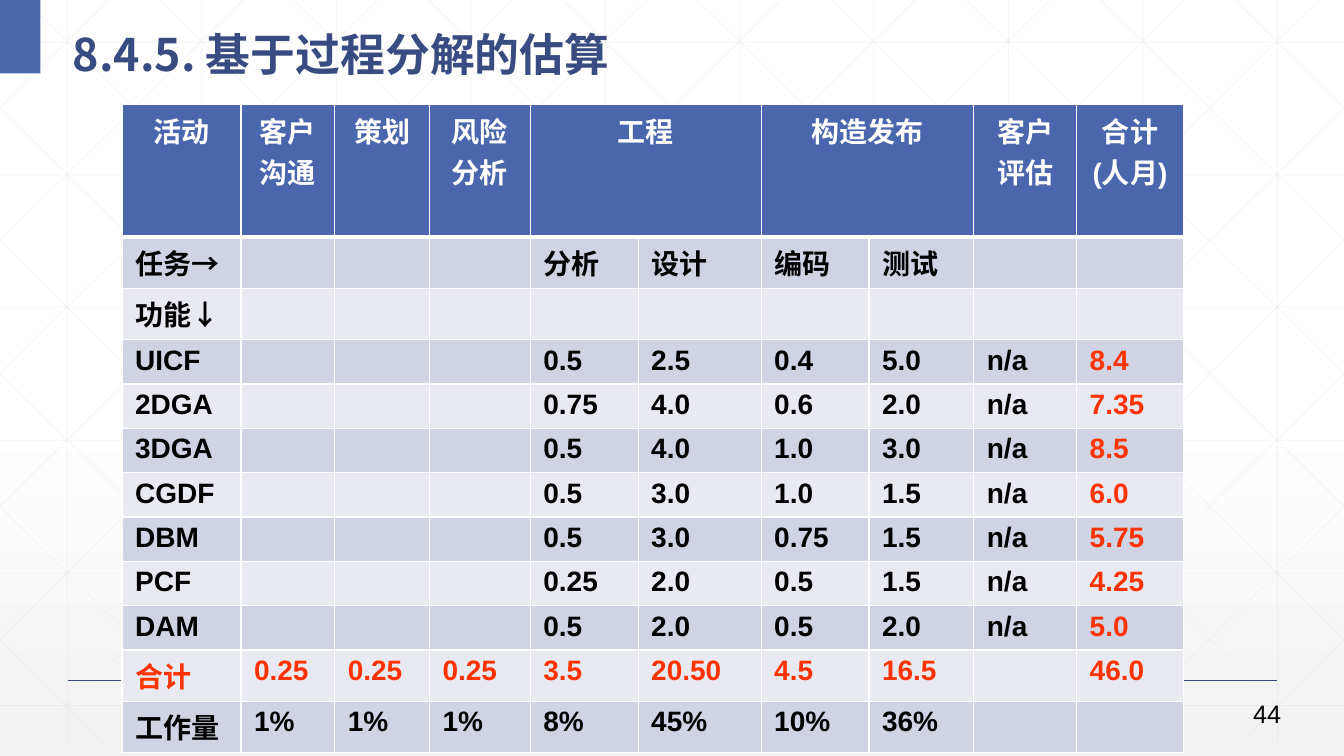
from lxml.etree import SubElement
from pptx import Presentation
from pptx.dml.color import RGBColor
from pptx.enum.shapes import MSO_CONNECTOR, MSO_SHAPE
from pptx.enum.text import MSO_ANCHOR, PP_ALIGN
from pptx.oxml.ns import qn
from pptx.util import Inches, Pt

WHITE = RGBColor(0xFF, 0xFF, 0xFF)
BLACK = RGBColor(0x00, 0x00, 0x00)
PALE_GREY = RGBColor(0xF2, 0xF2, 0xF2)
GRID_GREY = RGBColor(0xD9, 0xD9, 0xD9)
BLUE = RGBColor(0x4A, 0x66, 0xAC)
DARK_BLUE = RGBColor(0x38, 0x4C, 0x81)
BAND_DARK = RGBColor(0xD0, 0xD3, 0xE3)
BAND_LIGHT = RGBColor(0xE9, 0xEA, 0xF1)
RED = RGBColor(0xFF, 0x33, 0x00)

LATIN_FONT = "Arial"
CHINESE_FONT = "Noto Sans CJK SC"
SLIDE_WIDTH, SLIDE_HEIGHT = 13.33, 7.5

COLUMN_WIDTHS = [1.18, 0.93, 0.94, 1, 1.07, 1.22, 1.07, 1.04, 1.02, 1.06]
HEADER_HEIGHT, CHINESE_ROW_HEIGHT, LATIN_ROW_HEIGHT = 1.31, 0.51, 0.44
HEADER = ["活动", "客户沟通", "策划", "风险分析", "工程", "",
          "构造发布", "", "客户评估", "合计(人月)"]
MERGED_HEADERS = [(4, 5), (6, 7)]
TASKS = [
    ["任务→", "", "", "", "分析", "设计", "编码", "测试", "", ""],
    ["功能↓"] + [""] * 9,
]
FUNCTIONS = [
    ("UICF", "0.5", "2.5", "0.4", "5.0", "8.4"),
    ("2DGA", "0.75", "4.0", "0.6", "2.0", "7.35"),
    ("3DGA", "0.5", "4.0", "1.0", "3.0", "8.5"),
    ("CGDF", "0.5", "3.0", "1.0", "1.5", "6.0"),
    ("DBM", "0.5", "3.0", "0.75", "1.5", "5.75"),
    ("PCF", "0.25", "2.0", "0.5", "1.5", "4.25"),
    ("DAM", "0.5", "2.0", "0.5", "2.0", "5.0"),
]
TOTALS = ["合计", "0.25", "0.25", "0.25", "3.5", "20.50", "4.5", "16.5", "", "46.0"]
EFFORT = ["工作量", "1%", "1%", "1%", "8%", "45%", "10%", "36%", "", ""]


def style_run(run, size, color, font=LATIN_FONT, bold=False):
    run.font.size = Pt(size)
    run.font.bold = bold
    run.font.name = font
    run.font.color.rgb = color
    east_asian = SubElement(run.font._element, qn("a:ea"))
    east_asian.set("typeface", CHINESE_FONT)


def add_line(shapes, start, end, color, width, opacity=None):
    line = shapes.add_connector(MSO_CONNECTOR.STRAIGHT,
                                *(Inches(v) for v in (*start, *end)))
    line.line.color.rgb = color
    line.line.width = Pt(width)
    properties = line._element.spPr
    if opacity is not None:
        rgb = next(properties.iter(qn("a:srgbClr")))
        SubElement(rgb, qn("a:alpha")).set("val", str(opacity * 1000))
    SubElement(properties, qn("a:effectLst"))


def add_background(slide):
    fill = slide.background.fill
    fill.gradient()
    fill.gradient_angle = 270
    for stop, position, color in zip(fill.gradient_stops, (0.53, 1), (WHITE, PALE_GREY)):
        stop.position = position
        stop.color.rgb = color


def add_grid(slide, width, height):
    pitch_x, pitch_y, slope = 4 / 3, 1.316, 0.989
    segments = []
    for column in range(10):
        x = 0.67 + column * pitch_x
        segments.append(((x, 0), (x, height)))
    for row in range(6):
        y = 0.42 + row * pitch_y
        segments.append(((0, y), (width, y)))
    # Diagonals clipped to the grid, each with its mirror
    for step in range(-5, 10):
        top_x = 0.25 + step * pitch_x
        x1, x2 = max(top_x, 0), min(top_x + height / slope, width)
        y1, y2 = ((x - top_x) * slope for x in (x1, x2))
        segments.append(((x1, y1), (x2, y2)))
        segments.append(((width - x1, y1), (width - x2, y2)))
    grid = slide.shapes.add_group_shape()
    for start, end in segments:
        add_line(grid.shapes, start, end, GRID_GREY, 0.5, 25)


def add_frame(slide):
    # Footer rule and corner block
    add_line(slide.shapes, (0.67, 6.75), (12.67, 6.75), DARK_BLUE, 1)
    corner = slide.shapes.add_shape(MSO_SHAPE.RECTANGLE, 0, 0, Inches(0.4), Inches(0.73))
    corner.shadow.inherit = False
    corner.fill.solid()
    corner.fill.fore_color.rgb = BLUE
    corner.line.fill.background()


def add_title(slide, left, top, width, height):
    title = slide.shapes.title
    title.left, title.top = Inches(left), Inches(top)
    title.width, title.height = Inches(width), Inches(height)
    frame = title.text_frame
    frame.text = "8.4.5. 基于过程分解的估算"
    frame.word_wrap = True
    frame.vertical_anchor = MSO_ANCHOR.MIDDLE
    paragraph = frame.paragraphs[0]
    paragraph.alignment = PP_ALIGN.LEFT
    paragraph.line_spacing = 1.3
    style_run(paragraph.runs[0], 32, DARK_BLUE, CHINESE_FONT, True)
    # Bring the title in front of the grid
    slide.shapes._spTree.append(title._element)


def add_page_number(slide, left, top, width, height):
    number = slide.shapes.add_textbox(*(Inches(v) for v in (left, top, width, height)))
    number.text_frame.word_wrap = True
    number.text_frame.text = "44"
    style_run(number.text_frame.paragraphs[0].runs[0], 18, BLACK)


def set_borders(cell, widths):
    properties = cell._tc.get_or_add_tcPr()
    for index, (side, width) in enumerate(widths.items()):
        border = properties.makeelement(qn(f"a:{side}"), {"w": str(Pt(width))})
        fill = SubElement(border, qn("a:solidFill"))
        SubElement(fill, qn("a:srgbClr")).set("val", str(WHITE))
        properties.insert(index, border)


def format_cell(cell, text, fill, color, alignment, top=1, bottom=1):
    cell.margin_left = cell.margin_right = Inches(0.13)
    cell.margin_top = cell.margin_bottom = Inches(0.05)
    cell.fill.solid()
    cell.fill.fore_color.rgb = fill
    set_borders(cell, {"lnL": 1, "lnR": 1, "lnT": top, "lnB": bottom})
    if text:
        cell.text_frame.text = text
        paragraph = cell.text_frame.paragraphs[0]
        paragraph.alignment = alignment
        style_run(paragraph.runs[0], 20, color, bold=True)


def add_estimate_table(slide, left, top):
    functions = [[name, "", "", "", *efforts, "n/a", total]
                 for name, *efforts, total in FUNCTIONS]
    body = TASKS + functions + [TOTALS, EFFORT]
    heights = [HEADER_HEIGHT] + [
        LATIN_ROW_HEIGHT if values[0].isascii() else CHINESE_ROW_HEIGHT
        for values in body]
    table = slide.shapes.add_table(
        len(heights), len(HEADER), Inches(left), Inches(top),
        Inches(sum(COLUMN_WIDTHS)), Inches(sum(heights))).table
    for column, width in zip(table.columns, COLUMN_WIDTHS):
        column.width = Inches(width)
    for row, height in zip(table.rows, heights):
        row.height = Inches(height)

    # Header row
    for c, text in enumerate(HEADER):
        format_cell(table.cell(0, c), text, BLUE, WHITE, PP_ALIGN.CENTER, bottom=3)
    for first, last in MERGED_HEADERS:
        table.cell(0, first).merge(table.cell(0, last))

    # Banded body, totals in red
    for r, values in enumerate(body, start=1):
        band = BAND_DARK if r % 2 else BAND_LIGHT
        for c, text in enumerate(values):
            is_total = values is TOTALS or c == len(HEADER) - 1
            format_cell(table.cell(r, c), text, band, RED if is_total else BLACK,
                        PP_ALIGN.LEFT, top=3 if r == 1 else 1)


def main():
    presentation = Presentation()
    presentation.slide_width = Inches(SLIDE_WIDTH)
    presentation.slide_height = Inches(SLIDE_HEIGHT)
    slide = presentation.slides.add_slide(presentation.slide_layouts[5])
    add_background(slide)
    add_grid(slide, SLIDE_WIDTH, 7.37)
    add_frame(slide)
    add_title(slide, 0.62, 0.09, 11.29, 0.73)
    add_page_number(slide, 12.33, 6.88, 1.01, 0.24)
    add_estimate_table(slide, 1.21, 1.04)
    presentation.save("out.pptx")


if __name__ == "__main__":
    main()
